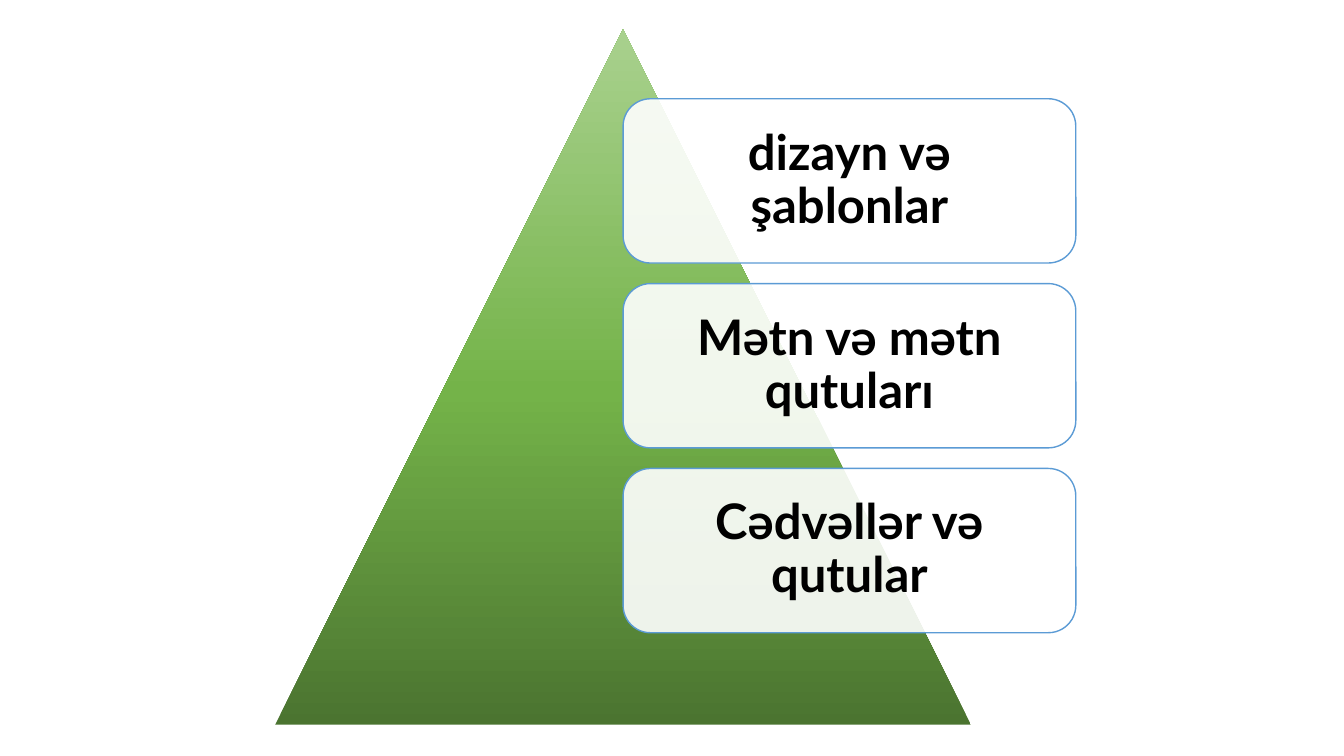
from copy import deepcopy
from dataclasses import dataclass

from lxml import etree
from pptx import Presentation
from pptx.dml.color import RGBColor
from pptx.enum.shapes import MSO_SHAPE
from pptx.enum.text import MSO_ANCHOR, PP_ALIGN
from pptx.oxml.ns import qn
from pptx.util import Inches, Pt

TRI, ROUND = MSO_SHAPE.ISOSCELES_TRIANGLE, MSO_SHAPE.ROUNDED_RECTANGLE
MIDDLE, CENTER = MSO_ANCHOR.MIDDLE, PP_ALIGN.CENTER

WIDE, HIGH = 13.33, 7.5
SIDE = 6.9                      # triangle width and height
LEFT, TOP = 2.73, 0.29
CARD_TOP, CARD_W, CARD_H = 0.98, 4.49, 1.63
STEP = CARD_H * 9 / 8           # gap is an eighth of a card
INSET = Inches(0.15)

STOPS = [(0, "4B7430"), (0.48, "74B349"), (1, "A9D18E")]
FRAME = {"word_wrap": True, "vertical_anchor": MIDDLE, "margin_left": INSET,
         "margin_right": INSET, "margin_top": INSET, "margin_bottom": INSET}
PARA = {"alignment": CENTER, "line_spacing": 0.9}
FONT = {"name": "Lato", "size": Pt(35), "bold": True}


@dataclass
class Card:
    row: int
    text: str


CARDS = [Card(0, "dizayn və şablonlar"),
         Card(1, "Mətn və mətn qutuları"),
         Card(2, "Cədvəllər və qutular")]


def color(hex_str: str) -> RGBColor:
    return RGBColor.from_string(hex_str)


def style(item, values: dict) -> None:
    for key, value in values.items():
        setattr(item, key, value)


def add_box(slide, kind, left: float, top: float, width: float, height: float):
    box = slide.shapes.add_shape(kind, *map(Inches, (left, top, width, height)))
    box.shadow.inherit = False
    return box


def draw_peak(slide) -> None:
    peak = add_box(slide, TRI, LEFT, TOP, SIDE, SIDE)
    peak.line.fill.background()
    fill = peak.fill
    fill.gradient()
    fill.gradient_angle = 90
    # A new gradient has two stops; add the third
    stops = peak.element.spPr.find(qn("a:gradFill")).find(qn("a:gsLst"))
    stops.append(deepcopy(stops[-1]))
    for stop, (place, tone) in zip(fill.gradient_stops, STOPS):
        stop.position = place
        stop.color.rgb = color(tone)


def draw_card(slide, card: Card) -> None:
    box = add_box(slide, ROUND, LEFT + SIDE / 2, CARD_TOP + card.row * STEP,
                  CARD_W, CARD_H)
    box.fill.solid()
    box.fill.fore_color.rgb = color("FFFFFF")
    tone = box.element.spPr.find(qn("a:solidFill"))[0]
    etree.SubElement(tone, qn("a:alpha"), val="90000")
    box.line.color.rgb = color("5B9BD5")
    box.line.width = Pt(1)

    # Label
    frame = box.text_frame
    style(frame, FRAME)
    para = frame.paragraphs[0]
    style(para, PARA)
    run = para.add_run()
    run.text = card.text
    style(run.font, FONT)
    run.font.color.rgb = color("000000")


def main() -> None:
    deck = Presentation()
    style(deck, {"slide_width": Inches(WIDE), "slide_height": Inches(HIGH)})
    slide = deck.slides.add_slide(deck.slide_layouts[6])
    draw_peak(slide)
    for card in CARDS:
        draw_card(slide, card)
    deck.save("out.pptx")


if __name__ == "__main__":
    main()
